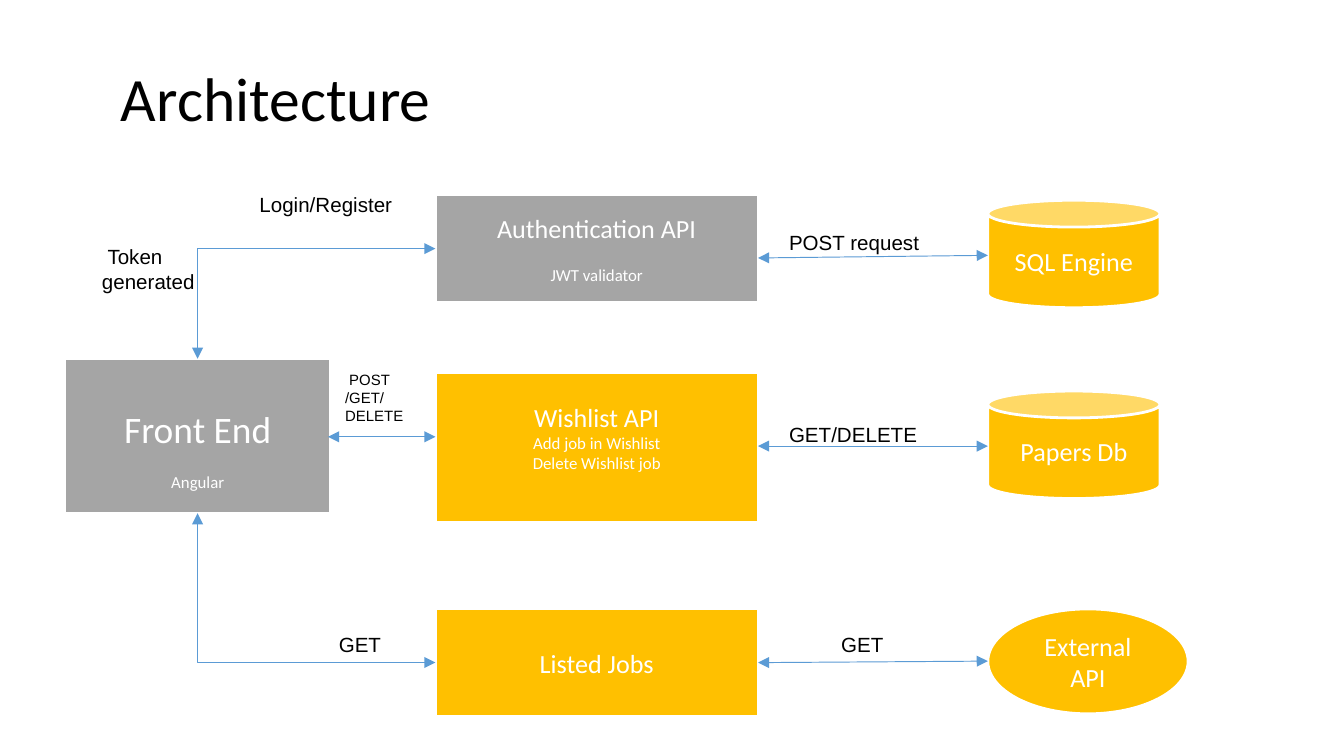
import pptx
import pptx.dml.color
import pptx.enum.shapes
import pptx.enum.text
import pptx.oxml
import pptx.util

Pt = pptx.util.Pt
RGB = pptx.dml.color.RGBColor
SHAPE = pptx.enum.shapes.MSO_SHAPE
LINK = pptx.enum.shapes.MSO_CONNECTOR
ANCHOR = pptx.enum.text.MSO_ANCHOR
ALIGN = pptx.enum.text.PP_ALIGN

BLACK, WHITE = RGB(0, 0, 0), RGB(255, 255, 255)
GREY, AMBER, BLUE = RGB(0xA5, 0xA5, 0xA5), RGB(0xFF, 0xC0, 0), RGB(0x5B, 0x9B, 0xD5)

API_X, API_W, STORE_X, STORE_W = 233.3, 172.8, 529.2, 92.2
TOP, BOTTOM = 0, 2  # connection sites of a rectangle
LEFT = 1

# name: shape, fill, (left, top, width, height), [(text, size, space before)], margins
NODES = {
    "front": (SHAPE.RECTANGLE, GREY, (34.6, 192.2, 142.6, 82.8),
              [("Front End", 20, 0), ("Angular", 9, 11)], {"margin_top": Pt(17)}),
    "auth": (SHAPE.RECTANGLE, GREY, (API_X, 104.4, API_W, 57.6),
             [("Authentication API", 14, 0), ("JWT validator", 9, 11)], {}),
    "wishlist": (SHAPE.RECTANGLE, AMBER, (API_X, 199.4, API_W, 80.6),
                 [("Wishlist API", 14, 0), ("Add job in Wishlist", 9, 0),
                  ("Delete Wishlist job", 9, 0)], {"margin_bottom": Pt(14.6)}),
    "jobs": (SHAPE.RECTANGLE, AMBER, (API_X, 326.2, API_W, 57.6),
             [("Listed Jobs", 14, 0)], {}),
    "sql": (SHAPE.CAN, AMBER, (STORE_X, 107.3, STORE_W, 57.6),
            [("SQL Engine", 14, 0)], {}),
    "documents": (SHAPE.CAN, AMBER, (STORE_X, 209.5, STORE_W, 57.6),
                  [("Papers Db", 14, 0)], {}),
    "external": (SHAPE.OVAL, AMBER, (STORE_X, 326.2, 107.3, 56.2),
                 [("External API", 14, 0)], {}),
}

# from x, from y, to x, to y
STRAIGHT = [
    (API_X + API_W, 138.2, STORE_X, 136.8),
    (API_X + API_W, 239, STORE_X, 239),
    (API_X + API_W, 355, STORE_X, 354.2),
    (175.7, 234, API_X, 234),
]
# API, site on the front end
ELBOWS = [("auth", TOP), ("jobs", BOTTOM)]

# paragraphs, size, first-line indent, (left, top, width, height)
LABELS = [
    (["POST request"], 11, 3, (412.6, 119.5, 92.2, 20.9)),
    (["GET/DELETE"], 11, 3, (412.6, 222.5, 87.1, 20.9)),
    (["GET"], 11, 3, (440.6, 334.8, 42, 20.9)),
    (["Login/Register"], 11, 3, (128.9, 99.4, 92.2, 20.9)),
    (["Token generated"], 11, 3, (47.5, 127.4, 92.2, 33.8)),
    (["POST\v/GET/", "DELETE"], 8, 2.2, (177.8, 195.1, 62.6, 36)),
    (["GET"], 11, 3, (171.4, 334.8, 92.2, 20.9)),
]


def apply(target, **values):
    for name, value in values.items():
        setattr(target, name, value)


def add_node(s, kind, fill, box, lines, margins):
    sp = s.shapes.add_shape(kind, *map(Pt, box))
    sp.shadow.inherit = False
    sp.fill.solid()
    sp.fill.fore_color.rgb = fill
    sp.line.color.rgb = WHITE
    sp.line.width = Pt(1.5)
    tf = sp.text_frame
    apply(tf, word_wrap=True, vertical_anchor=ANCHOR.MIDDLE, **margins)
    tf.text = "\n".join(text for text, _, _ in lines)
    for p, (_, size, before) in zip(tf.paragraphs, lines):
        apply(p, alignment=ALIGN.CENTER, space_before=Pt(before))
        apply(p.font, name="Calibri", size=Pt(size))
        p.font.color.rgb = WHITE
    return sp


def add_link(s, kind, *ends):
    """Add a thin connector with an arrowhead at each end."""
    link = s.shapes.add_connector(kind, *map(Pt, ends))
    link.line.color.rgb = BLUE
    link.line.width = Pt(0.5)
    ns = pptx.oxml.ns.qn
    ln = link.line._get_or_add_ln()
    for end in ("a:headEnd", "a:tailEnd"):
        ln.makeelement(ns(end))
        pptx.oxml.xmlchemy.OxmlElement(end)
        arrow = pptx.oxml.xmlchemy.OxmlElement(end)
        arrow.set("type", "triangle")
        ln.append(arrow)
    link._element.spPr.append(pptx.oxml.xmlchemy.OxmlElement("a:effectLst"))
    return link


def add_label(s, paragraphs, size, indent, box):
    tf = s.shapes.add_textbox(*map(Pt, box)).text_frame
    tf.word_wrap = True
    tf.text = "\n".join(paragraphs)
    tf.paragraphs[0]._p.get_or_add_pPr().set("indent", str(Pt(indent)))
    for p in tf.paragraphs:
        apply(p.font, name="Arial", size=Pt(size))
        p.font.color.rgb = BLACK


def main():
    prs = pptx.Presentation()
    apply(prs, slide_width=Pt(720), slide_height=Pt(405))
    s = prs.slides.add_slide(prs.slide_layouts[5])

    title = s.shapes.title
    apply(title, left=Pt(57.6), top=Pt(29.5), width=Pt(642.2), height=Pt(45.4))
    tf = title.text_frame
    tf.text = "Architecture"
    apply(tf, vertical_anchor=ANCHOR.TOP, margin_left=Pt(7.2), margin_top=Pt(7.2),
          margin_right=Pt(7.2), margin_bottom=Pt(7.2))
    p = tf.paragraphs[0]
    apply(p, alignment=ALIGN.LEFT, line_spacing=0.9)
    apply(p.font, name="Calibri", size=Pt(33))
    p.font.color.rgb = BLACK

    nodes = {name: add_node(s, *node) for name, node in NODES.items()}
    for ends in STRAIGHT:
        add_link(s, LINK.STRAIGHT, *ends)
    for api, site in ELBOWS:
        link = add_link(s, LINK.ELBOW, 0, 0, 0, 0)
        link.begin_connect(nodes[api], LEFT)
        link.end_connect(nodes["front"], site)
        link._element.spPr.prstGeom.set("prst", "bentConnector2")
    for label in LABELS:
        add_label(s, *label)

    prs.save("out.pptx")


if __name__ == "__main__":
    main()
